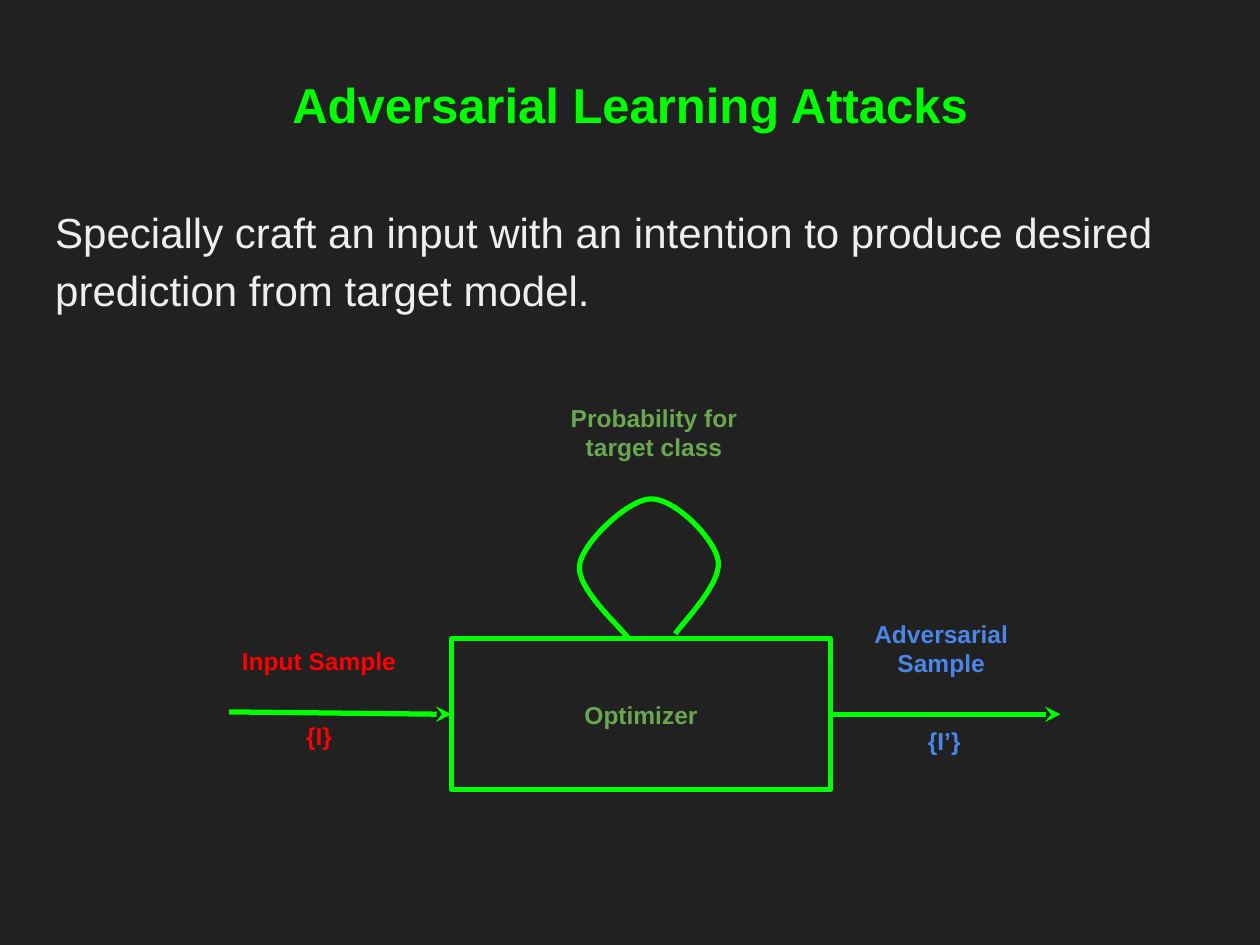
from pptx import Presentation
from pptx.dml.color import RGBColor
from pptx.enum.shapes import MSO_CONNECTOR, MSO_SHAPE
from pptx.enum.text import MSO_ANCHOR, PP_ALIGN
from pptx.oxml.ns import qn
from pptx.util import Pt
from lxml import etree

LEFT, CENTER = PP_ALIGN.LEFT, PP_ALIGN.CENTER
TOP, MIDDLE = MSO_ANCHOR.TOP, MSO_ANCHOR.MIDDLE
RECTANGLE, STRAIGHT = MSO_SHAPE.RECTANGLE, MSO_CONNECTOR.STRAIGHT
BACKGROUND, LIME, GREEN = "212121", "00FF00", "6AA84F"
RED, BLUE, PALE = "FF0000", "4A86E8", "EEEEEE"
LABEL_WIDTH, LABEL_HEIGHT = 116.6, 31
LOOP_POINTS = [
    (235.3, 142),
    (230.2, 134.8), (205, 113.2), (207.2, 99.6),
    (209.4, 86.6), (234.6, 62.8), (247.5, 62.1),
    (261.2, 61.4), (284.2, 84.4), (286.4, 97.4),
    (288.6, 110.4), (266.2, 132.7), (261.9, 139.2),
]


def color(value):
    """Turn a hex string into a colour."""
    return RGBColor.from_string(value)


def write(shape, text, size=14, fill=GREEN, bold=True, align=CENTER,
          anchor=TOP, spacing=None):
    """Put formatted text into a shape."""
    frame = shape.text_frame
    frame.word_wrap = True
    frame.vertical_anchor = anchor
    frame.margin_left = frame.margin_right = Pt(7.2)
    frame.margin_top = frame.margin_bottom = Pt(7.2)
    para = frame.paragraphs[0]
    para.alignment = align
    if spacing:
        para.line_spacing = spacing
    span = para.add_run()
    span.text = text
    span.font.name = "Arial"
    span.font.size = Pt(size)
    span.font.bold = bold
    span.font.color.rgb = color(fill)


def add_text(page, left, top, width, height, text, **style):
    """Add a text box."""
    box = page.shapes.add_textbox(Pt(left), Pt(top), Pt(width), Pt(height))
    write(box, text, **style)


def outline(shape):
    """Give a line or shape the lime stroke."""
    shape.line.color.rgb = color(LIME)
    shape.line.width = Pt(3)


def add_arrow(page, start, end):
    """Add a straight arrow with a stealth head."""
    arrow = page.shapes.add_connector(STRAIGHT, *map(Pt, start + end))
    outline(arrow)
    etree.SubElement(arrow.line._get_or_add_ln(), qn("a:tailEnd"), type="stealth")
    etree.SubElement(arrow._element.spPr, qn("a:effectLst"))
    return arrow


def add_curve(page, left, top, points):
    """Add an open outline of cubic curves from anchor and control points."""
    first, *rest = [(Pt(left + x), Pt(top + y)) for x, y in points]
    builder = page.shapes.build_freeform(*first)
    builder.add_line_segments(rest, close=False)
    curve = builder.convert_to_shape()
    curve.shadow.inherit = False
    curve.fill.background()
    outline(curve)
    path = curve._element.find(".//" + qn("a:path"))
    segments = path.findall(qn("a:lnTo"))
    for index in range(0, len(segments), 3):
        bezier = etree.SubElement(path, qn("a:cubicBezTo"))
        for segment in segments[index:index + 3]:
            bezier.append(segment[0])
            path.remove(segment)


def add_heading(page, left, top, width):
    """Add the title and the statement below it."""
    add_text(page, left, top, width, 45.4, "Adversarial Learning Attacks",
             size=28, fill=LIME)
    add_text(page, left, top + 71.3, width - 6.5, 149.8,
             "Specially craft an input with an intention to produce desired "
             "prediction from target model.",
             size=24, fill=PALE, bold=False, align=LEFT, spacing=1.15)


def add_diagram(page, left, top, width):
    """Add the optimizer with its input, output and feedback loop."""
    optimizer = page.shapes.add_shape(
        RECTANGLE, Pt(left + 134), Pt(top + 142), Pt(216.6), Pt(86.4))
    optimizer.shadow.inherit = False
    optimizer.fill.background()
    outline(optimizer)
    write(optimizer, "Optimizer", anchor=MIDDLE)

    middle = top + 185.2
    incoming = add_arrow(page, (left + 7, middle - 1.4), (left + 134, middle))
    incoming.end_connect(optimizer, 1)
    outgoing = add_arrow(page, (left + 350.6, middle), (left + width, middle))
    outgoing.begin_connect(optimizer, 3)
    add_curve(page, left, top, LOOP_POINTS)

    labels = [
        ("Input Sample", 0, 139, RED),
        ("{I}", 0, 181.6, RED),
        ("Adversarial Sample", 355.5, 123.3, BLUE),
        ("{I’}", 357.3, 184.5, BLUE),
        ("Probability for target class", 191.4, 0, GREEN),
    ]
    for text, x, y, fill in labels:
        add_text(page, left + x, top + y, LABEL_WIDTH, LABEL_HEIGHT, text, fill=fill)


def main():
    """Build and save the deck."""
    deck = Presentation()
    deck.slide_width, deck.slide_height = Pt(720), Pt(540)
    page = deck.slides.add_slide(deck.slide_layouts[6])
    page.background.fill.solid()
    page.background.fill.fore_color.rgb = color(BACKGROUND)
    add_heading(page, 24.5, 35.3, 671)
    add_diagram(page, 124, 223, 482)
    deck.save("out.pptx")


if __name__ == "__main__":
    main()
